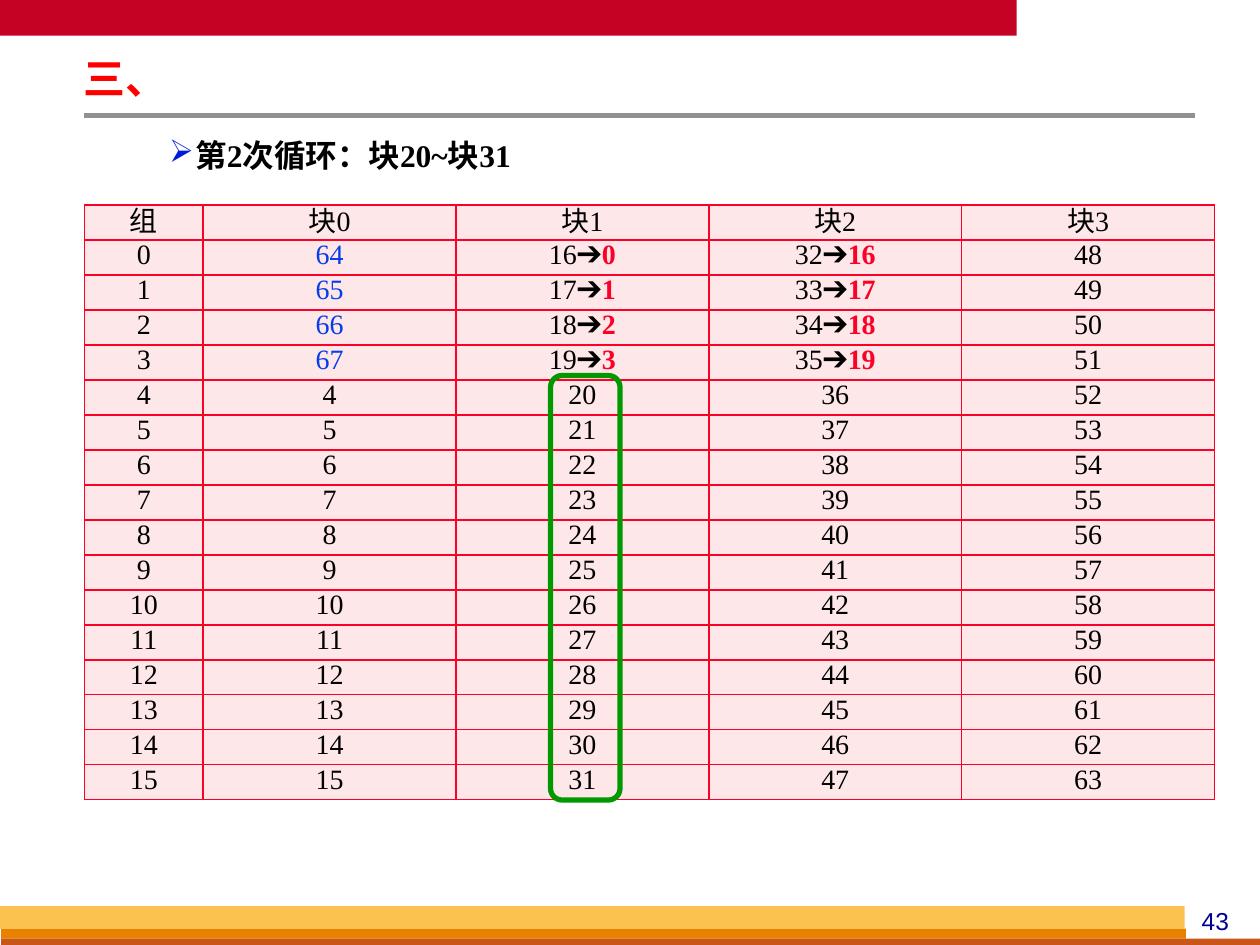
"""Build the slide that shows the second loop pass over the cache block table."""
from lxml import etree
from pptx import Presentation
from pptx.dml.color import RGBColor
from pptx.enum.shapes import MSO_CONNECTOR, MSO_SHAPE
from pptx.enum.text import MSO_ANCHOR, PP_ALIGN
from pptx.oxml.ns import qn
from pptx.util import Pt

RECT = MSO_SHAPE.RECTANGLE
ROUNDED = MSO_SHAPE.ROUNDED_RECTANGLE
STRAIGHT = MSO_CONNECTOR.STRAIGHT
CENTER, LEFT = PP_ALIGN.CENTER, PP_ALIGN.LEFT
MIDDLE, TOP = MSO_ANCHOR.MIDDLE, MSO_ANCHOR.TOP

BLACK = RGBColor(0x00, 0x00, 0x00)
CRIMSON = RGBColor(0xC3, 0x02, 0x24)
GRAY = RGBColor(0x91, 0x91, 0x91)
ORANGE = RGBColor(0xE8, 0x80, 0x00)
RUST = RGBColor(0xC9, 0x56, 0x16)
AMBER = RGBColor(0xFC, 0xC2, 0x4F)
NAVY = RGBColor(0x00, 0x00, 0x99)
TITLE_RED = RGBColor(0xFF, 0x00, 0x00)
BULLET_BLUE = RGBColor(0x00, 0x1A, 0xDC)
LOADED_BLUE = RGBColor(0x06, 0x3D, 0xE8)
GRID_RED = RGBColor(0xFC, 0x01, 0x28)
CELL_PINK = RGBColor(0xFE, 0xE7, 0xE8)
GREEN = RGBColor(0x00, 0x99, 0x00)

SERIF = "Times New Roman"
GROUPS = 16
REPLACED = 4
ROW_HEIGHT = 20
GROUP_WIDTH, BLOCK_WIDTH = 67.7, 144.5
TABLE_LEFT, TABLE_TOP = 48.4, 117.2


def style_run(run, size, color, bold=False, font=SERIF):
    run.font.name = font
    run.font.size = Pt(size)
    run.font.bold = bold
    run.font.color.rgb = color


def set_frame(frame, anchor, side, edge):
    frame.word_wrap = True
    frame.vertical_anchor = anchor
    frame.margin_left = frame.margin_right = Pt(side)
    frame.margin_top = frame.margin_bottom = Pt(edge)


prs = Presentation()
prs.slide_width, prs.slide_height = Pt(720), Pt(540)
slide = prs.slides.add_slide(prs.slide_layouts[5])
shapes = slide.shapes

for left, top, width, height, color in (
    (0, 0, 581, 20.4, CRIMSON),
    (0.7, 530.6, 677, 5.8, ORANGE),
    (0.7, 536.4, 720, 5.8, RUST),
    (0, 517.8, 677, 13, AMBER),
):
    band = shapes.add_shape(RECT, Pt(left), Pt(top), Pt(width), Pt(height))
    band.shadow.inherit = False
    band.fill.solid()
    band.fill.fore_color.rgb = color
    band.line.fill.background()

title_rule = shapes.add_connector(STRAIGHT, Pt(48), Pt(65.8), Pt(683), Pt(65.8))
title_rule.line.color.rgb = GRAY
title_rule.line.width = Pt(3)
etree.SubElement(title_rule._element.spPr, qn("a:effectLst"))

page_number = shapes.add_textbox(Pt(672), Pt(514), Pt(45), Pt(24))
set_frame(page_number.text_frame, MIDDLE, 0, 0)
page_number.text_frame.text = "43"
page_paragraph = page_number.text_frame.paragraphs[0]
page_paragraph.alignment = CENTER
style_run(page_paragraph.runs[0], 14, NAVY, font="Arial")

title = shapes.title
title.left, title.top, title.width, title.height = Pt(42.5), Pt(31.7), Pt(414), Pt(29.5)
set_frame(title.text_frame, TOP, 5, 2)
title.text_frame.text = "三、"
title_paragraph = title.text_frame.paragraphs[0]
title_paragraph.alignment = LEFT
title_paragraph.line_spacing = 0.87
style_run(title_paragraph.runs[0], 24, TITLE_RED, bold=True)

loop_note = shapes.add_textbox(Pt(54), Pt(71.3), Pt(618), Pt(28))
set_frame(loop_note.text_frame, TOP, 5, 2)
loop_note.text_frame.text = "第2次循环：块20~块31"
loop_paragraph = loop_note.text_frame.paragraphs[0]
loop_paragraph.line_spacing = 1.2
loop_paragraph.space_before = loop_paragraph.space_after = Pt(3.6)
style_run(loop_paragraph.runs[0], 18, BLACK, bold=True)
loop_properties = loop_paragraph._p.get_or_add_pPr()
loop_properties.set("marL", str(Pt(52.6)))
loop_properties.set("indent", str(Pt(-15)))
bullet_color = etree.SubElement(loop_properties, qn("a:buClr"))
etree.SubElement(bullet_color, qn("a:srgbClr"), val=str(BULLET_BLUE))
etree.SubElement(loop_properties, qn("a:buChar"), char="➢")

rows = [[[("组", BLACK, False)]] + [[(f"块{block}", BLACK, False)] for block in range(4)]]
for group in range(GROUPS):
    parts = [[(str(number), BLACK, False)]
             for number in (group, *range(group, 4 * GROUPS, GROUPS))]
    if group < REPLACED:
        parts[1] = [(str(group + 4 * GROUPS), LOADED_BLUE, False)]
        for block in (1, 2):
            old = group + block * GROUPS
            parts[block + 1] = [(f"{old}➔", BLACK, False),
                                (str(old - GROUPS), GRID_RED, True)]
    rows.append(parts)

block_table = shapes.add_table(
    len(rows), 5, Pt(TABLE_LEFT), Pt(TABLE_TOP),
    Pt(GROUP_WIDTH + 4 * BLOCK_WIDTH), Pt(len(rows) * ROW_HEIGHT)).table
for index, column in enumerate(block_table.columns):
    column.width = Pt(BLOCK_WIDTH if index else GROUP_WIDTH)

for row_index, row in enumerate(rows):
    block_table.rows[row_index].height = Pt(ROW_HEIGHT)
    for column_index, parts in enumerate(row):
        cell = block_table.cell(row_index, column_index)
        cell.vertical_anchor = MIDDLE
        cell.margin_left = cell.margin_right = Pt(7.2)
        cell.margin_top = cell.margin_bottom = Pt(0)
        paragraph = cell.text_frame.paragraphs[0]
        paragraph.alignment = CENTER
        paragraph.line_spacing = 0.75
        for text, color, bold in parts:
            run = paragraph.add_run()
            run.text = text
            style_run(run, 16, color, bold)
        cell_properties = cell._tc.get_or_add_tcPr()
        for side in ("a:lnL", "a:lnR", "a:lnT", "a:lnB"):
            border = etree.SubElement(cell_properties, qn(side), w=str(Pt(1)))
            border_fill = etree.SubElement(border, qn("a:solidFill"))
            etree.SubElement(border_fill, qn("a:srgbClr"), val=str(GRID_RED))
        cell.fill.solid()
        cell.fill.fore_color.rgb = CELL_PINK

loop_frame = shapes.add_shape(ROUNDED, Pt(314.6), Pt(214.6), Pt(39.7), Pt(242.6))
loop_frame.shadow.inherit = False
loop_frame.fill.background()
loop_frame.line.color.rgb = GREEN
loop_frame.line.width = Pt(3)

prs.save("out.pptx")
